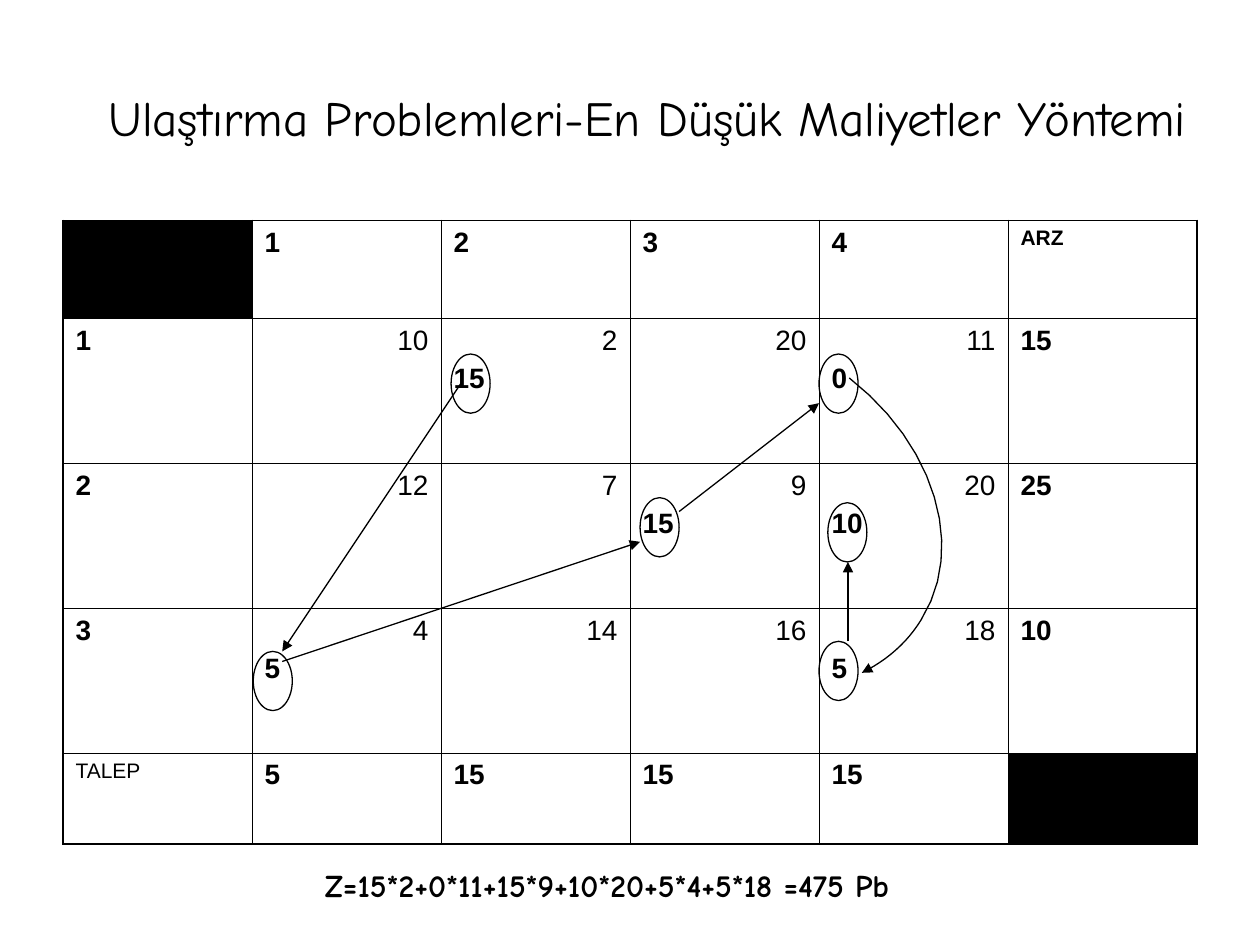
from lxml import etree
from pptx import Presentation
from pptx import util as u
from pptx.dml.color import RGBColor
from pptx.enum import shapes, text
from pptx.oxml.ns import qn

COLORS = {"ink": "000000"}
TITLE = "Ulaştırma Problemleri-En Düşük Maliyetler Yöntemi"
TOTAL_COST = "Z=15*2+0*11+15*9+10*20+5*4+5*18 =475 Pb"
COSTS = [[10, 2, 20, 11], [12, 7, 9, 20], [4, 14, 16, 18]]
ALLOCATIONS = {(0, 1): 15, (0, 3): 0, (1, 2): 15, (1, 3): 10, (2, 0): 5, (2, 3): 5}
SUPPLY = [15, 25, 10]
DEMAND = [5, 15, 15, 15]
ROW_HEIGHTS = [0.78, 1.15, 1.15, 1.15, 0.72]
COLUMN_WIDTH = 1.5
RINGS = [(3.58, 2.81), (6.5, 2.81), (5.08, 3.95), (6.57, 3.99), (6.5, 5.09), (2.01, 5.17)]
ARROWS = [
    ((3.66, 3.04), (2.24, 5.17)),
    ((2.24, 5.25), (5.08, 4.3)),
    ((5.39, 4.06), (6.5, 3.2)),
    ((6.73, 3.2), (6.73, 3.2)),
    ((6.73, 5.09), (6.73, 4.46)),
]
RETURN_CURVE = [
    ((6.74, 3), (7.42, 3.53), (7.67, 4.35), (7.31, 4.92)),
    ((7.31, 4.92), (7.2, 5.1), (7.04, 5.24), (6.84, 5.34)),
]


class TransportSlide:
    """Holds the style and the current slide, and adds each kind of element to it."""

    heading_font = "Comic Neue"
    table_font = "Arial"
    line_width = 0.75
    inner_border = 0.45
    outer_border = 1.08

    def __init__(self, presentation):
        self.slide = presentation.slides.add_slide(presentation.slide_layouts[5])

    def color(self, name):
        return RGBColor.from_string(COLORS[name])

    def format(self, paragraph, font, size, bold=False):
        paragraph.font.name = font
        paragraph.font.size = u.Pt(size)
        paragraph.font.bold = bold
        paragraph.font.color.rgb = self.color("ink")

    def outline(self, shape):
        shape.line.color.rgb = self.color("ink")
        shape.line.width = u.Pt(self.line_width)

    def arrowhead(self, shape):
        line = shape.line._get_or_add_ln()
        etree.SubElement(line, qn("a:tailEnd"), type="triangle")

    def title(self, words, left, top, width, height):
        title = self.slide.shapes.title
        title.left, title.top = u.Inches(left), u.Inches(top)
        title.width, title.height = u.Inches(width), u.Inches(height)
        title.text_frame.text = words
        title.text_frame.vertical_anchor = text.MSO_ANCHOR.MIDDLE
        paragraph = title.text_frame.paragraphs[0]
        paragraph.alignment = text.PP_ALIGN.CENTER
        self.format(paragraph, self.heading_font, 28)

    def label(self, words, left, top, width, height):
        box = self.slide.shapes.add_textbox(
            u.Inches(left), u.Inches(top), u.Inches(width), u.Inches(height))
        frame = box.text_frame
        frame.text = words
        frame.word_wrap = False
        frame.auto_size = text.MSO_AUTO_SIZE.SHAPE_TO_FIT_TEXT
        frame.vertical_anchor = text.MSO_ANCHOR.MIDDLE
        self.format(frame.paragraphs[0], self.heading_font, 18, bold=True)

    def table(self, left, top, column_count):
        frame = self.slide.shapes.add_table(
            len(ROW_HEIGHTS), column_count, u.Inches(left), u.Inches(top),
            u.Inches(COLUMN_WIDTH * column_count), u.Inches(sum(ROW_HEIGHTS)))
        table = frame.table
        table.first_row = table.horz_banding = False
        for column in table.columns:
            column.width = u.Inches(COLUMN_WIDTH)
        for row, height in zip(table.rows, ROW_HEIGHTS):
            row.height = u.Inches(height)
        last_row, last_column = len(ROW_HEIGHTS) - 1, column_count - 1
        for row in range(last_row + 1):
            for column in range(last_column + 1):
                cell = table.cell(row, column)
                if (row, column) in ((0, 0), (last_row, last_column)):
                    cell.fill.solid()
                    cell.fill.fore_color.rgb = self.color("ink")
                else:
                    cell.fill.background()
                self.borders(cell, {"lnL": column == 0, "lnR": column == last_column,
                                    "lnT": row == 0, "lnB": row == last_row})
        return table

    def borders(self, cell, outer_sides):
        properties = cell._tc.get_or_add_tcPr()
        for index, (side, is_outer) in enumerate(outer_sides.items()):
            width = u.Pt(self.outer_border if is_outer else self.inner_border)
            line = etree.Element(qn(f"a:{side}"), w=str(int(width)))
            fill = etree.SubElement(line, qn("a:solidFill"))
            etree.SubElement(fill, qn("a:srgbClr"), val=COLORS["ink"])
            properties.insert(index, line)

    def cell_text(self, cell, words, size=16, bold=True, right=False, extra=False):
        frame = cell.text_frame
        paragraph = frame.add_paragraph() if extra else frame.paragraphs[0]
        paragraph.text = str(words)
        paragraph.space_before = u.Pt(size / 4)
        paragraph.alignment = text.PP_ALIGN.RIGHT if right else text.PP_ALIGN.LEFT
        self.format(paragraph, self.table_font, size, bold)

    def ring(self, left, top):
        ring = self.slide.shapes.add_shape(
            shapes.MSO_SHAPE.OVAL, u.Inches(left), u.Inches(top), u.Inches(0.31), u.Inches(0.47))
        ring.shadow.inherit = False
        ring.fill.background()
        self.outline(ring)

    def arrow(self, start, end):
        arrow = self.slide.shapes.add_connector(
            shapes.MSO_CONNECTOR.STRAIGHT, *(u.Inches(value) for value in start + end))
        self.outline(arrow)
        self.arrowhead(arrow)
        etree.SubElement(arrow._element.spPr, qn("a:effectLst"))

    def curved_arrow(self, segments, steps=12):
        points = [
            tuple(u.Inches((1 - t) ** 3 * a + 3 * (1 - t) ** 2 * t * b
                           + 3 * (1 - t) * t ** 2 * c + t ** 3 * d)
                  for a, b, c, d in zip(*segment))
            for segment in segments
            for t in (step / steps for step in range(1, steps + 1))
        ]
        start_x, start_y = segments[0][0]
        builder = self.slide.shapes.build_freeform(u.Inches(start_x), u.Inches(start_y))
        builder.add_line_segments(points, close=False)
        curve = builder.convert_to_shape()
        curve.shadow.inherit = False
        curve.fill.background()
        self.outline(curve)
        self.arrowhead(curve)


def main():
    presentation = Presentation()
    presentation.slide_width, presentation.slide_height = u.Inches(10), u.Inches(7.5)
    slide = TransportSlide(presentation)
    slide.title(TITLE, 0.27, 0.3, 9.73, 1.25)

    table = slide.table(0.5, 1.75, len(DEMAND) + 2)
    slide.cell_text(table.cell(0, 5), "ARZ", size=12)
    slide.cell_text(table.cell(4, 0), "TALEP", size=12, bold=False)
    for column, demand in enumerate(DEMAND, 1):
        slide.cell_text(table.cell(0, column), column)
        slide.cell_text(table.cell(4, column), demand)
    for row, supply in enumerate(SUPPLY, 1):
        slide.cell_text(table.cell(row, 0), row)
        slide.cell_text(table.cell(row, 5), supply)
        for column, cost in enumerate(COSTS[row - 1], 1):
            slide.cell_text(table.cell(row, column), cost, bold=False, right=True)
    for (row, column), amount in ALLOCATIONS.items():
        slide.cell_text(table.cell(row + 1, column + 1), amount, extra=True)

    for left, top in RINGS:
        slide.ring(left, top)
    for start, end in ARROWS:
        slide.arrow(start, end)
    slide.curved_arrow(RETURN_CURVE)
    slide.label(TOTAL_COST, 2.48, 6.82, 4.68, 0.4)
    presentation.save("out.pptx")


if __name__ == "__main__":
    main()
